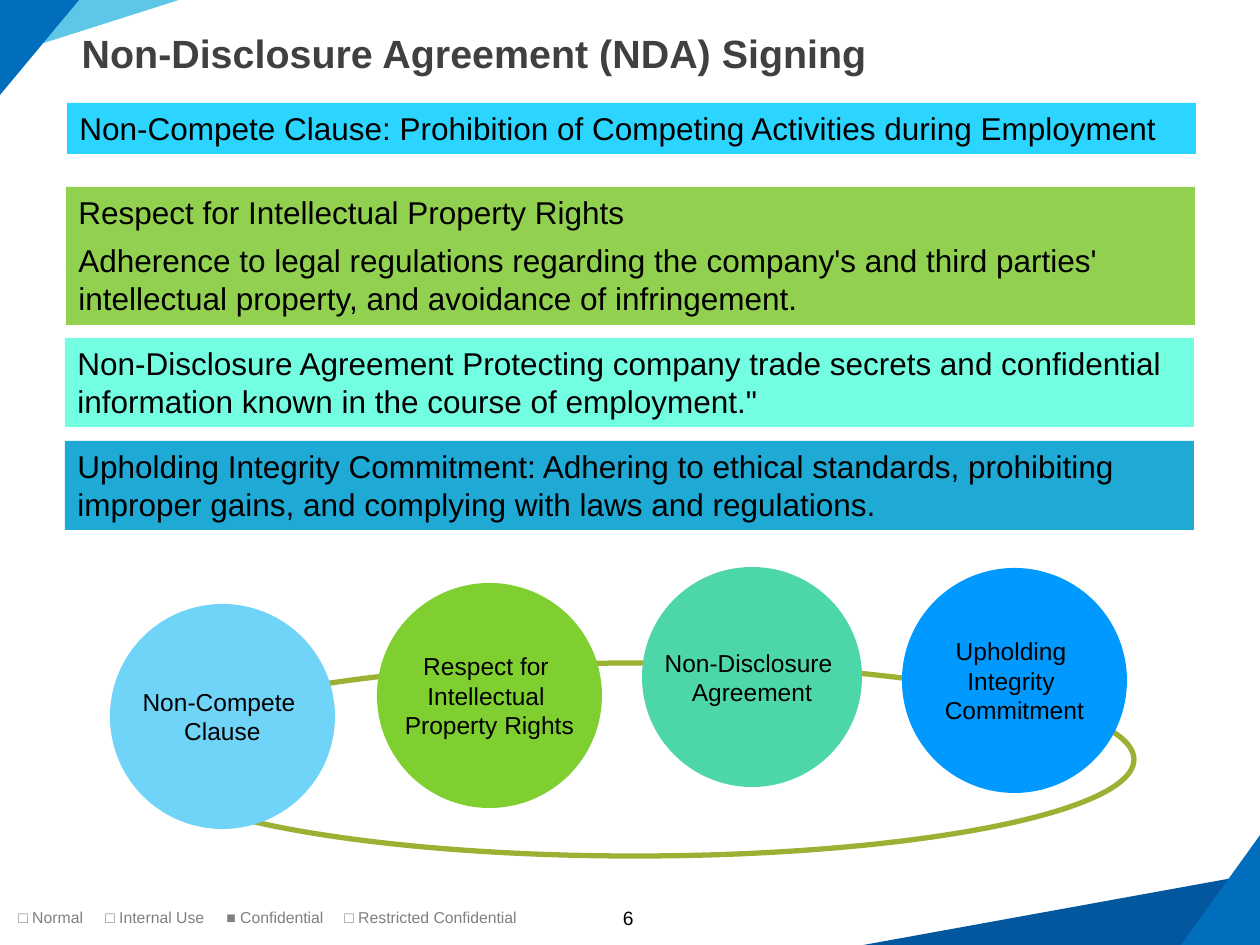
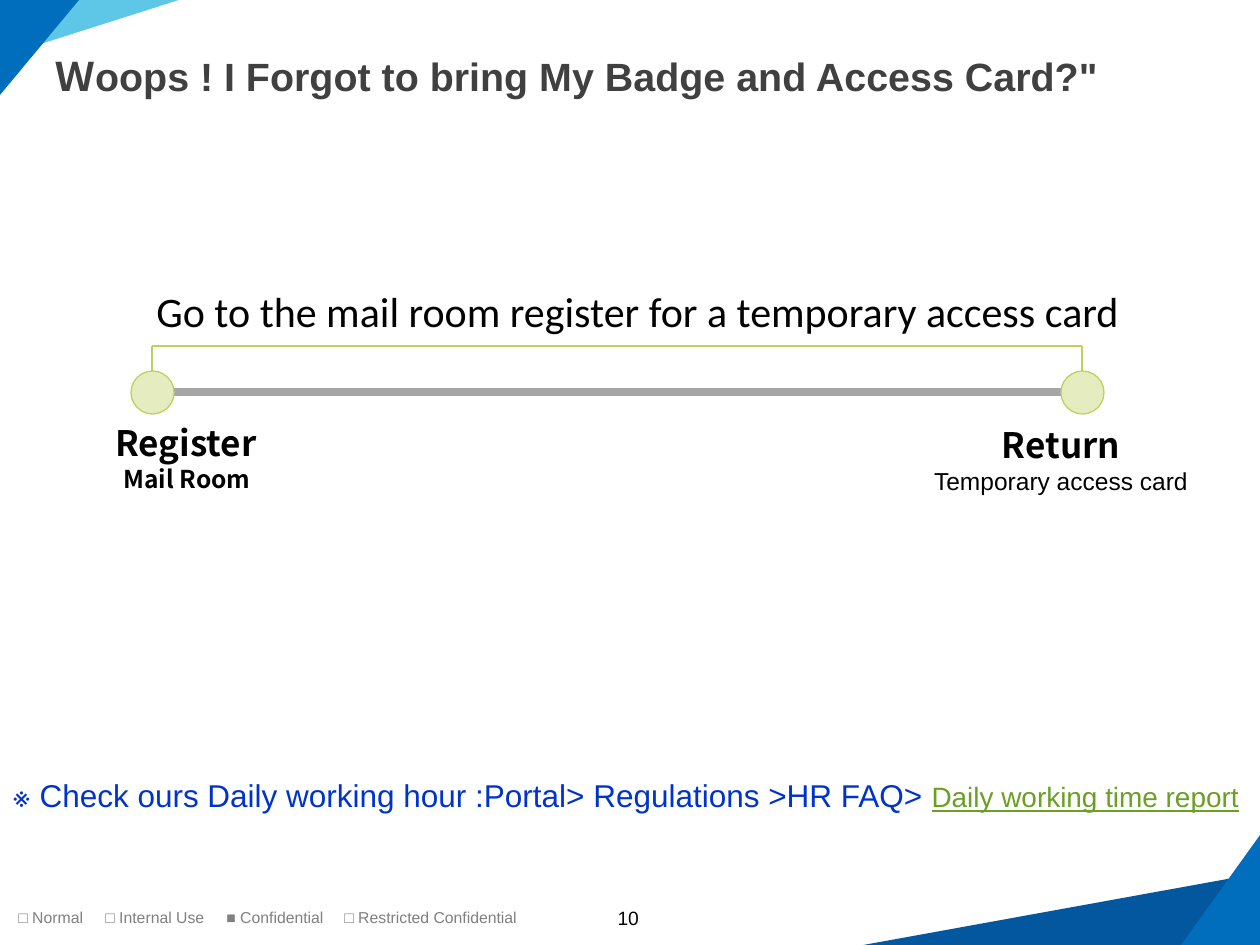
from lxml.etree import SubElement as Sub
from pptx import Presentation
from pptx.dml.color import RGBColor as Rgb
from pptx.enum.shapes import MSO_CONNECTOR as Link, MSO_SHAPE as Form
from pptx.enum.text import MSO_ANCHOR as Anchor, PP_ALIGN as Align
from pptx.oxml.ns import qn
from pptx.util import Pt

PX = 914400 / 126
WIDE, HIGH = 1260, 945
HUES = {
    "sky": "5EC7E8", "blue": "006EBC", "navy": "02579E",
    "title": "404040", "text": "000000", "mark": "808080",
    "ring": "9DB034", "bar": "A6A6A6", "edge": "BFD05F", "dot": "E5ECBF",
    "note": "0033CC", "link": "6B9F25",
    "clause": "2CD5FF", "rights": "92D050", "secret": "73FEE1", "ethic": "1FAAD6",
    "ball1": "70D4F8", "ball2": "80CF31", "ball3": "4DD7A9", "ball4": "0099FF",
}
LEVELS = ["□ Normal", "□ Internal Use", "■ Confidential", "□ Restricted Confidential"]
STOPS = [87, 208, 326]
CLAUSES = [
    (2, 0, 51, "clause", ["Non-Compete Clause: Prohibition of Competing Activities during Employment"]),
    (1, 84, 138, "rights", [
        "Respect for Intellectual Property Rights",
        "Adherence to legal regulations regarding the company's and third parties' "
        "intellectual property, and avoidance of infringement."]),
    (0, 235, 89, "secret", [
        "Non-Disclosure Agreement Protecting company trade secrets and confidential "
        "information known in the course of employment.\""]),
    (0, 338, 89, "ethic", [
        "Upholding Integrity Commitment: Adhering to ethical standards, prohibiting "
        "improper gains, and complying with laws and regulations."]),
]
BALLS = [
    (0, 37, 225, "ball1", ["Non-Compete ", "Clause"]),
    (267, 16, 225, "ball2", ["Respect for ", "Intellectual ", "Property Rights"]),
    (532, 0, 220, "ball3", ["Non-Disclosure ", "Agreement"]),
    (792, 1, 225, "ball4", ["Upholding ", "Integrity ", "Commitment"]),
]


def px(*sides):
    return [round(side * PX) for side in sides]


def hue(name):
    return Rgb.from_string(HUES[name])


def style(font, size, tone="text", face="Arial", bold=False):
    font.size, font.name, font.bold = Pt(size), face, bold
    font.color.rgb = hue(tone)


def write(frame, lines, size, tone="text", face="Arial", bold=False, align=Align.LEFT, gap=0):
    frame.word_wrap = True
    for row, line in enumerate(lines):
        para = frame.add_paragraph() if row else frame.paragraphs[0]
        para.text, para.alignment = line, align
        if row:
            para.space_before = Pt(gap)
        style(para.font, size, tone, face, bold)
    return frame


def label(slide, box, lines, size, **look):
    return write(slide.shapes.add_textbox(*px(*box)).text_frame, lines, size, **look)


def draw(slide, form, box, fill=None, line=None, width=1):
    shape = slide.shapes.add_shape(form, *px(*box))
    shape.shadow.inherit = False
    if fill:
        shape.fill.solid()
        shape.fill.fore_color.rgb = hue(fill)
    else:
        shape.fill.background()
    if line:
        shape.line.color.rgb, shape.line.width = hue(line), Pt(width)
    else:
        shape.line.fill.background()
    return shape


def rule(slide, ends, tone, width):
    line = slide.shapes.add_connector(Link.STRAIGHT, *px(*ends))
    line.line.color.rgb, line.line.width = hue(tone), Pt(width)
    Sub(line._element.spPr, qn("a:effectLst"))


def corner(slide, wide, high, fill, foot=False):
    left, top = (WIDE - wide, HIGH - high) if foot else (0, 0)
    wedge = draw(slide, Form.RIGHT_TRIANGLE, (left, top, wide, high), fill)
    wedge._element.spPr.xfrm.set("flipV", "1")
    wedge.rotation = 180 if foot else 0


def footer(slide, left, top, page):
    frame = label(slide, (left, top, 568, 32), ["\t".join(LEVELS)], 9, tone="mark")
    props = frame.paragraphs[0]._p.get_or_add_pPr()
    tabs = Sub(props, qn("a:tabLst"))
    props.insert(0, tabs)
    for stop in px(*STOPS):
        Sub(tabs, qn("a:tab"), pos=str(stop), algn="l")
    number = label(slide, (left + 569, top + 4, 112, 30), [f"{page} "], 11, align=Align.CENTER)
    number.margin_top = number.margin_bottom = 0


def base(deck, title, box, page):
    slide = deck.slides.add_slide(deck.slide_layouts[5])
    corner(slide, 179, 57, "sky")
    corner(slide, 79, 95, "blue")
    corner(slide, 397, 72, "navy", True)
    corner(slide, 79, 110, "blue", True)
    footer(slide, 6, 902, page)
    head = slide.shapes.title
    head.left, head.top, head.width, head.height = px(*box)
    frame = write(head.text_frame, [title], 22.5, tone="title", bold=True)
    frame.vertical_anchor = Anchor.MIDDLE
    frame.paragraphs[0].line_spacing = 0.9
    return slide


def bands(slide, left, top, wide):
    for shift, drop, high, fill, lines in CLAUSES:
        band = draw(slide, Form.RECTANGLE, (left + shift, top + drop, wide, high), fill)
        frame = write(band.text_frame, lines, 18, gap=6)
        frame.vertical_anchor = Anchor.TOP


def orbit(slide, left, top):
    draw(slide, Form.OVAL, (left + 26, top + 96, 998, 193), line="ring", width=3)
    for shift, drop, size, fill, lines in BALLS:
        ball = draw(slide, Form.OVAL, (left + shift, top + drop, size, size), fill)
        frame = write(ball.text_frame, lines, 14, align=Align.CENTER)
        frame.word_wrap = False
        frame.vertical_anchor = Anchor.MIDDLE


def step(slide, box, lines, face, bold):
    frame = label(slide, box, lines, 20, face="Noto Sans CJK SC", bold=True, align=Align.CENTER)
    frame.vertical_anchor = Anchor.MIDDLE
    style(frame.paragraphs[1].font, 14, face=face, bold=bold)


def track(slide, left, top, wide):
    size, mid = 43, top + 46
    right = left + wide
    label(slide, (left - 8, top - 67, 1044, 63),
          ["Go to the mail room register for a temporary access card"], 24, face="Calibri")
    rule(slide, (left, mid, right, mid), "bar", 4.5)
    rule(slide, (left, top, right, top), "edge", 0.75)
    for spot in (left, right):
        rule(slide, (spot, top, spot, mid - 8), "edge", 0.75)
        draw(slide, Form.OVAL, (spot - size // 2, mid - size // 2, size, size), "dot", "edge", 0.75)
    step(slide, (left - 93, top + 80, 262, 63), ["Register ", "Mail Room "], "Noto Sans CJK SC", True)
    step(slide, (right - 188, top + 82, 334, 63), ["Return", "Temporary access card"], "Arial", False)


def remark(slide, left, top, wide):
    frame = label(slide, (left, top, wide, 50),
                  ["※ Check ours Daily working hour :Portal> Regulations >HR FAQ> "], 18, tone="note")
    run = frame.paragraphs[0].add_run()
    run.text = "Daily working time report"
    run.font.size, run.font.underline = Pt(16), True
    run.font.color.rgb = hue("link")


def main():
    deck = Presentation()
    deck.slide_width, deck.slide_height = px(WIDE, HIGH)
    pact = base(deck, "Non-Disclosure Agreement (NDA) Signing", (69, 26, 1131, 59), 6)
    bands(pact, 65, 103, 1129)
    orbit(pact, 110, 567)
    badge = base(deck, "Ｗoops ! I Forgot to bring My Badge and Access Card?\"", (43, 49, 1186, 59), 10)
    track(badge, 152, 346, 930)
    remark(badge, 0, 770, WIDE)
    deck.save("out.pptx")


if __name__ == "__main__":
    main()
